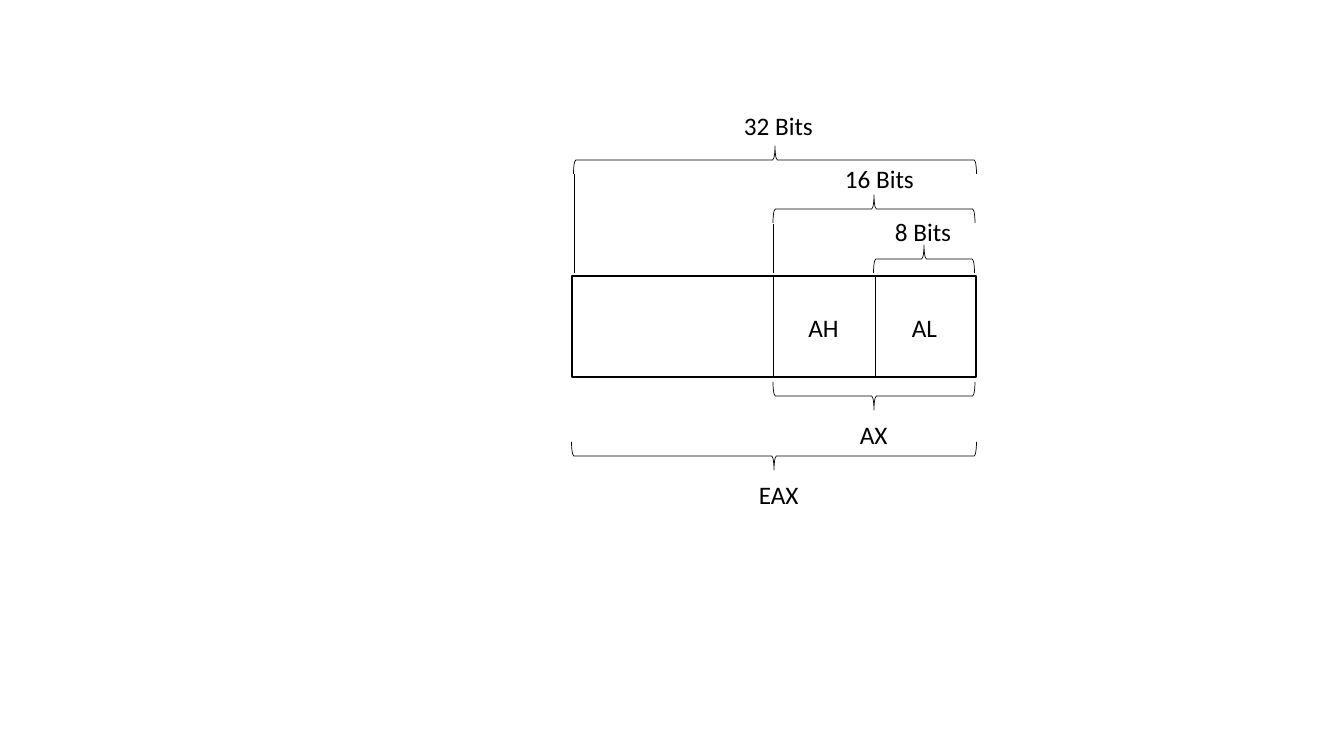
import pptx
import pptx.util
import pptx.dml.color
import pptx.enum.shapes
import pptx.enum.text
import pptx.oxml

KIND = pptx.enum.shapes.MSO_SHAPE
COLORS = {"ink": "000000", "paper": "FFFFFF"}
INK = pptx.dml.color.RGBColor.from_string(COLORS["ink"])
PAPER = pptx.dml.color.RGBColor.from_string(COLORS["paper"])
SCALE = 914400 / 100.8
CELL = 101
DEPTH = 28

deck = pptx.Presentation()
deck.slide_width = round(1344 * SCALE)
deck.slide_height = round(756 * SCALE)
slide = deck.slides.add_slide(deck.slide_layouts[6])


def add_form(kind, box, weight):
    form = slide.shapes.add_shape(kind, *[round(v * SCALE) for v in box])
    form.shadow.inherit = False
    form.fill.background()
    if weight:
        form.line.color.rgb = INK
        form.line.width = pptx.util.Pt(weight)
    else:
        form.line.fill.background()
    return form


def set_text(shape, text):
    shape.text_frame.text = text
    font = shape.text_frame.paragraphs[0].runs[0].font
    font.name = "Calibri"
    font.size = pptx.util.Pt(18)
    font.color.rgb = INK


for slot, name in enumerate(["", "AH", "AL"]):
    cell = add_form(KIND.RECTANGLE, (672 + slot * CELL, 277, CELL, CELL), 0)
    cell.fill.solid()
    cell.fill.fore_color.rgb = PAPER
    if name:
        set_text(cell, name)
        cell.text_frame.vertical_anchor = pptx.enum.text.MSO_ANCHOR.MIDDLE
        cell.text_frame.paragraphs[0].alignment = pptx.enum.text.PP_ALIGN.CENTER

braces = [
    (KIND.LEFT_BRACE, 775, 160, 403),
    (KIND.LEFT_BRACE, 874, 209, 202),
    (KIND.LEFT_BRACE, 924, 259, 101),
    (KIND.RIGHT_BRACE, 874, 396, 202),
    (KIND.RIGHT_BRACE, 774, 456, 405),
]
for kind, mid, level, span in braces:
    box = (mid - DEPTH / 2, level - span / 2, DEPTH, span)
    brace = add_form(kind, box, 0.5)
    brace.rotation = 90

labels = [
    ("8 Bits", 885, 211, 77, False),
    ("16 Bits", 835, 158, 90, False),
    ("32 Bits", 734, 105, 90, False),
    ("AX", 850, 414, 48, False),
    ("EAX", 749, 474, 97, True),
]
for text, left, top, width, wrap in labels:
    box = (left, top, width, 40)
    label = slide.shapes.add_textbox(*[round(v * SCALE) for v in box])
    label.text_frame.word_wrap = wrap
    label.text_frame.auto_size = pptx.enum.text.MSO_AUTO_SIZE.SHAPE_TO_FIT_TEXT
    set_text(label, text)

add_form(KIND.RECTANGLE, (572, 276, 4 * CELL, CELL), 1)

for x, top, end in [(574, 174, 273), (773, 224, 273), (875, 276, 377), (773, 276, 377)]:
    ends = [round(v * SCALE) for v in (x, top, x, end)]
    line = slide.shapes.add_connector(pptx.enum.shapes.MSO_CONNECTOR.STRAIGHT, *ends)
    line.line.color.rgb = INK
    line.line.width = pptx.util.Pt(0.5)
    effect = pptx.oxml.parse_xml(
        '<a:effectLst xmlns:a="http://schemas.openxmlformats.org/drawingml/2006/main"/>')
    line._element.spPr.append(effect)

deck.save("out.pptx")
